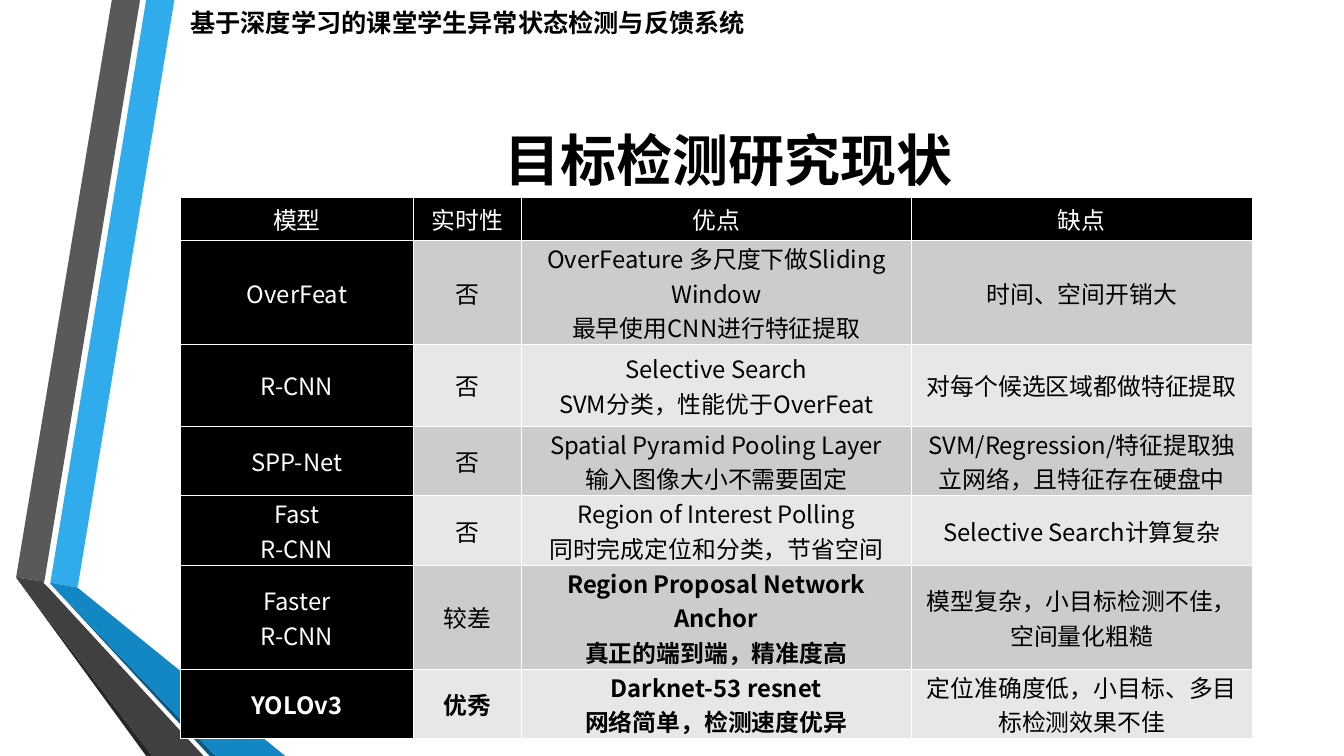
from lxml import etree
from pptx import Presentation
from pptx import util as u
from pptx.dml.color import RGBColor
from pptx.enum import text
from pptx.oxml import ns

# All lengths count cells of a fine grid, 100 to the inch.
CELL = u.Inches(0.01)
SLIDE = (1333, 750)
BLACK, WHITE = "000000", "FFFFFF"
BANDS = ("CCCCCC", "E7E7E7")
HEAD_FONT, BODY_FONT = "Cabin", "Noto Sans CJK SC"

# Colour and outline of each ribbon face, from back to front.
RIBBONS = [
    ("30ACEC", [(34, 578), (61, 583), (157, 0), (129, 0)]),
    ("595959", [(123, 0), (95, 0), (0, 573), (28, 577)]),
    ("262626", [(0, 573), (129, 750), (135, 750)]),
    ("0C5A82", [(34, 579), (192, 750), (198, 750)]),
    ("1287C3", [(34, 579), (198, 750), (267, 750), (61, 583), (34, 578)]),
    ("404040", [(186, 750), (32, 583), (27, 578), (28, 577), (0, 573), (135, 750)]),
]

COLUMNS = [231, 107, 387, 338]
ROWS = [43, 103, 81, 69, 69, 103, 69]
MODELS = [
    ("模型", "实时性", "优点", "缺点"),
    ("OverFeat", "否", "OverFeature 多尺度下做Sliding Window\n最早使用CNN进行特征提取",
     "时间、空间开销大"),
    ("R-CNN", "否", "Selective Search\nSVM分类，性能优于OverFeat", "对每个候选区域都做特征提取"),
    ("SPP-Net", "否", "Spatial Pyramid Pooling Layer\n输入图像大小不需要固定",
     "SVM/Regression/特征提取独立网络，且特征存在硬盘中"),
    ("Fast\nR-CNN", "否", "Region of Interest Polling\n同时完成定位和分类，节省空间",
     "Selective Search计算复杂"),
    ("Faster\nR-CNN", "较差", "Region Proposal Network\nAnchor\n真正的端到端，精准度高",
     "模型复杂，小目标检测不佳，空间量化粗糙"),
    ("YOLOv3", "优秀", "Darknet-53 resnet\n网络简单，检测速度优异",
     "定位准确度低，小目标、多目标检测效果不佳"),
]
BOLD_CELLS = {(5, 2), (6, 0), (6, 1), (6, 2)}


def rgb(value):
    """Turn a hex string into a colour."""
    return RGBColor.from_string(value)


def cells(*counts):
    """Turn counts of grid cells into slide lengths."""
    return [u.Emu(n * CELL) for n in counts]


def write(tf, content, size, font, color=BLACK, bold=False, align=None):
    """Write one paragraph per line of content."""
    for i, line in enumerate(content.split("\n")):
        p = tf.add_paragraph() if i else tf.paragraphs[0]
        p.alignment = align
        r = p.add_run()
        r.text = line
        r.font.size, r.font.bold = u.Pt(size), bold
        r.font.color.rgb = rgb(color)
        r.font.name = font
        etree.SubElement(r.font._element, ns.qn("a:ea"), typeface=font)


def add_ribbons(s, box):
    """Draw the folded ribbons from the top left corner of the box."""
    left, top = box[:2]
    for color, outline in RIBBONS:
        points = [cells(left + x, top + y) for x, y in outline]
        builder = s.shapes.build_freeform(*points[0])
        builder.add_line_segments(points[1:], close=True)
        sp = builder.convert_to_shape()
        sp.shadow.inherit = False
        sp.fill.solid()
        sp.fill.fore_color.rgb = rgb(color)
        sp.line.fill.background()


def add_heading(s, box, content, size, wrap=True, align=None,
                anchor=text.MSO_ANCHOR.TOP):
    """Place a bold heading in the box."""
    tf = s.shapes.add_textbox(*cells(*box)).text_frame
    tf.word_wrap, tf.vertical_anchor = wrap, anchor
    write(tf, content, size, HEAD_FONT, bold=True, align=align)


def add_borders(cell, color, points):
    """Rule all four sides of a table cell."""
    tcPr = cell._tc.get_or_add_tcPr()
    for side in ("lnL", "lnR", "lnT", "lnB"):
        ln = etree.SubElement(tcPr, ns.qn("a:" + side), w=str(u.Pt(points)))
        fill = etree.SubElement(ln, ns.qn("a:solidFill"))
        etree.SubElement(fill, ns.qn("a:srgbClr"), val=color)


def add_models_table(s, box):
    """Fill the box with the comparison of detection models."""
    width, height = box[2:]
    table = s.shapes.add_table(len(ROWS), len(COLUMNS), *cells(*box)).table
    for column, share in zip(table.columns, COLUMNS):
        column.width = u.Emu(int(width * CELL * share / sum(COLUMNS)))
    for row, share in zip(table.rows, ROWS):
        row.height = u.Emu(int(height * CELL * share / sum(ROWS)))
    for i, model in enumerate(MODELS):
        for j, content in enumerate(model):
            cell = table.cell(i, j)
            is_label = i == 0 or j == 0
            add_borders(cell, WHITE, 1)
            cell.fill.solid()
            cell.fill.fore_color.rgb = rgb(BLACK if is_label else BANDS[(i - 1) % 2])
            cell.margin_left, cell.margin_right = cells(6, 6)
            cell.margin_top = cell.margin_bottom = 0
            cell.vertical_anchor = text.MSO_ANCHOR.MIDDLE
            write(cell.text_frame, content, 17, BODY_FONT,
                  WHITE if is_label else BLACK, (i, j) in BOLD_CELLS,
                  text.PP_ALIGN.CENTER)


def build_comparison_slide(prs):
    """Add the slide comparing object detection models."""
    s = prs.slides.add_slide(prs.slide_layouts[6])
    add_ribbons(s, (16, 0, 267, 750))
    add_heading(s, (162, 62, 1121, 192), "目标检测研究现状", 40,
                align=text.PP_ALIGN.CENTER, anchor=text.MSO_ANCHOR.MIDDLE)
    add_models_table(s, (179, 196, 1063, 537))
    add_heading(s, (179, 2, 576, 40), "基于深度学习的课堂学生异常状态检测与反馈系统", 18,
                wrap=False)


prs = Presentation()
prs.slide_width, prs.slide_height = cells(*SLIDE)
build_comparison_slide(prs)
prs.save("out.pptx")
